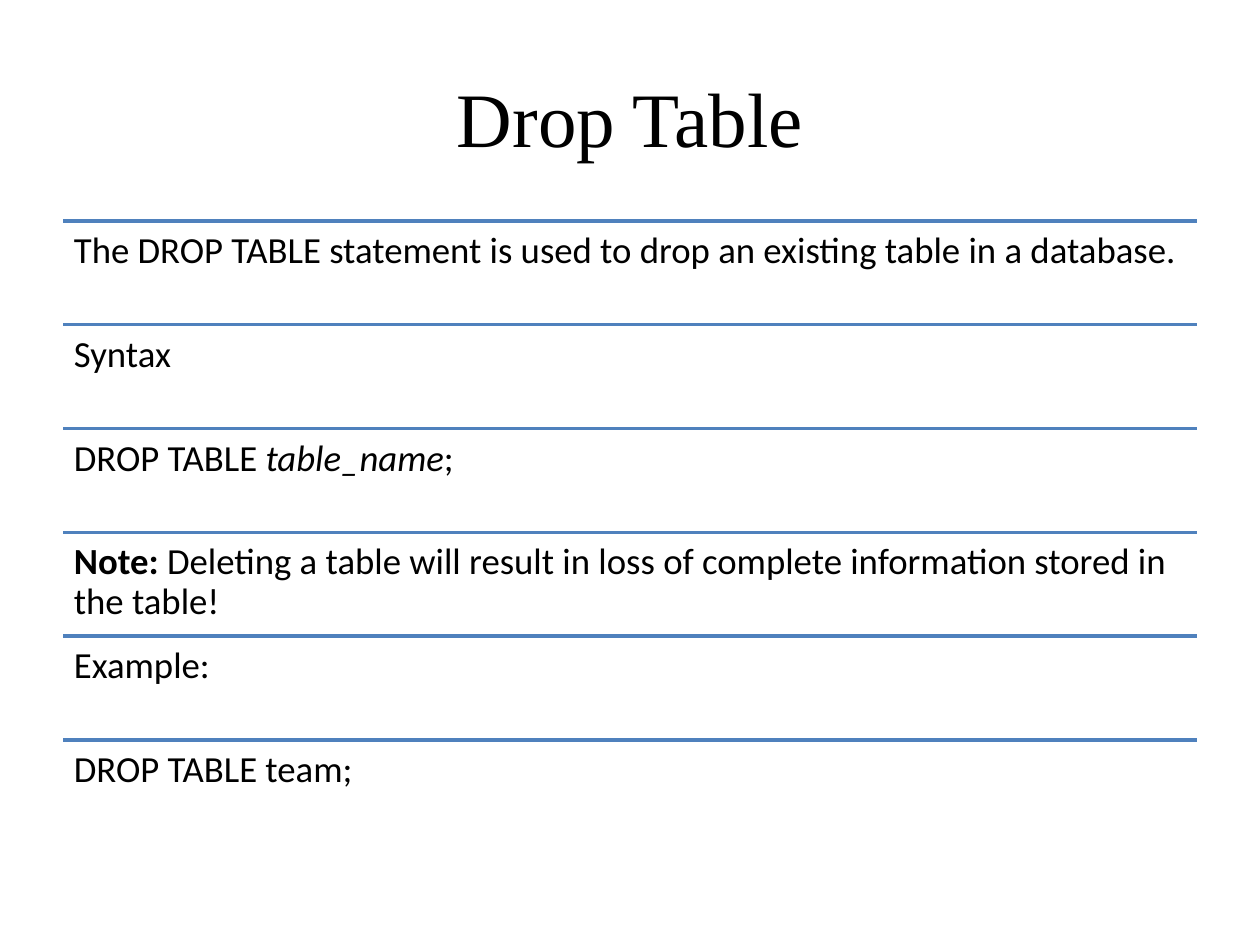
from dataclasses import dataclass

from lxml import etree
from pptx import Presentation
from pptx import util as u
from pptx.dml.color import RGBColor
from pptx.enum import shapes, text
from pptx.oxml import ns


@dataclass(frozen=True)
class Theme:
    """Colours, fonts and sizes of the slide."""
    ink: RGBColor = RGBColor(0, 0, 0)
    rule: RGBColor = RGBColor(0x4F, 0x81, 0xBD)
    paper: RGBColor = RGBColor(255, 255, 255)
    head: str = "Times New Roman"
    body: str = "Calibri"
    big: float = 44
    small: float = 21
    line: float = 2


THEME = Theme()
ROWS = [
    [("The DROP TABLE statement is used to drop an existing table in a database.", "")],
    [("Syntax", "")],
    [("DROP TABLE ", ""), ("table_name", "i"), (";", "")],
    [("Note:", "b"),
     (" Deleting a table will result in loss of complete information stored in the table!", "")],
    [("Example:", "")],
    [("DROP TABLE team;", "")],
]


def add_run(para, words, face, size, style=""):
    """Add one formatted run to a paragraph."""
    run = para.add_run()
    run.text = words
    font = run.font
    font.name, font.size = face, u.Pt(size)
    font.color.rgb = THEME.ink
    font.bold, font.italic = style == "b", style == "i"


def add_title(slide, words, left, top, width, height):
    """Place the title placeholder in its box."""
    title = slide.shapes.title
    title.left, title.top = u.Cm(left), u.Cm(top)
    title.width, title.height = u.Cm(width), u.Cm(height)
    frame = title.text_frame
    frame.vertical_anchor = text.MSO_ANCHOR.MIDDLE
    para = frame.paragraphs[0]
    para.alignment = text.PP_ALIGN.CENTER
    add_run(para, words, THEME.head, THEME.big)


def add_rule(group, left, top, width):
    """Draw a level line across the list."""
    line = group.shapes.add_connector(
        shapes.MSO_CONNECTOR.STRAIGHT,
        u.Cm(left), u.Cm(top), u.Cm(left + width), u.Cm(top))
    line.line.color.rgb = THEME.rule
    line.line.width = u.Pt(THEME.line)
    etree.SubElement(line._element.spPr, ns.qn("a:effectLst"))


def add_row(group, parts, left, top, width, height):
    """Write one row of the list in its box."""
    box = group.shapes.add_textbox(u.Cm(left), u.Cm(top), u.Cm(width), u.Cm(height))
    frame = box.text_frame
    frame.word_wrap = True
    frame.vertical_anchor = text.MSO_ANCHOR.TOP
    pad = u.Cm(0.22)
    frame.margin_left = frame.margin_right = pad
    frame.margin_top = frame.margin_bottom = pad
    para = frame.paragraphs[0]
    para.alignment = text.PP_ALIGN.LEFT
    para.line_spacing = 0.9
    para.space_after = u.Pt(7)
    for words, style in parts:
        add_run(para, words, THEME.body, THEME.small, style)


def add_list(slide, rows, left, top, width, height):
    """Stack equal ruled rows in the given box."""
    group = slide.shapes.add_group_shape()
    step = height / len(rows)
    for index, parts in enumerate(rows):
        y = top + index * step
        add_rule(group, left, y, width)
        add_row(group, parts, left, y, width, step)


def main():
    """Build and save the slide."""
    deck = Presentation()
    deck.slide_width, deck.slide_height = u.Cm(25.4), u.Cm(19.05)
    slide = deck.slides.add_slide(deck.slide_layouts.get_by_name("Title Only"))
    fill = slide.background.fill
    fill.solid()
    fill.fore_color.rgb = THEME.paper
    left, width = 1.27, 22.86
    add_title(slide, "Drop Table", left, 0.76, width, 3.18)
    add_list(slide, ROWS, left, 4.45, width, 12.56)
    deck.save("out.pptx")


if __name__ == "__main__":
    main()
